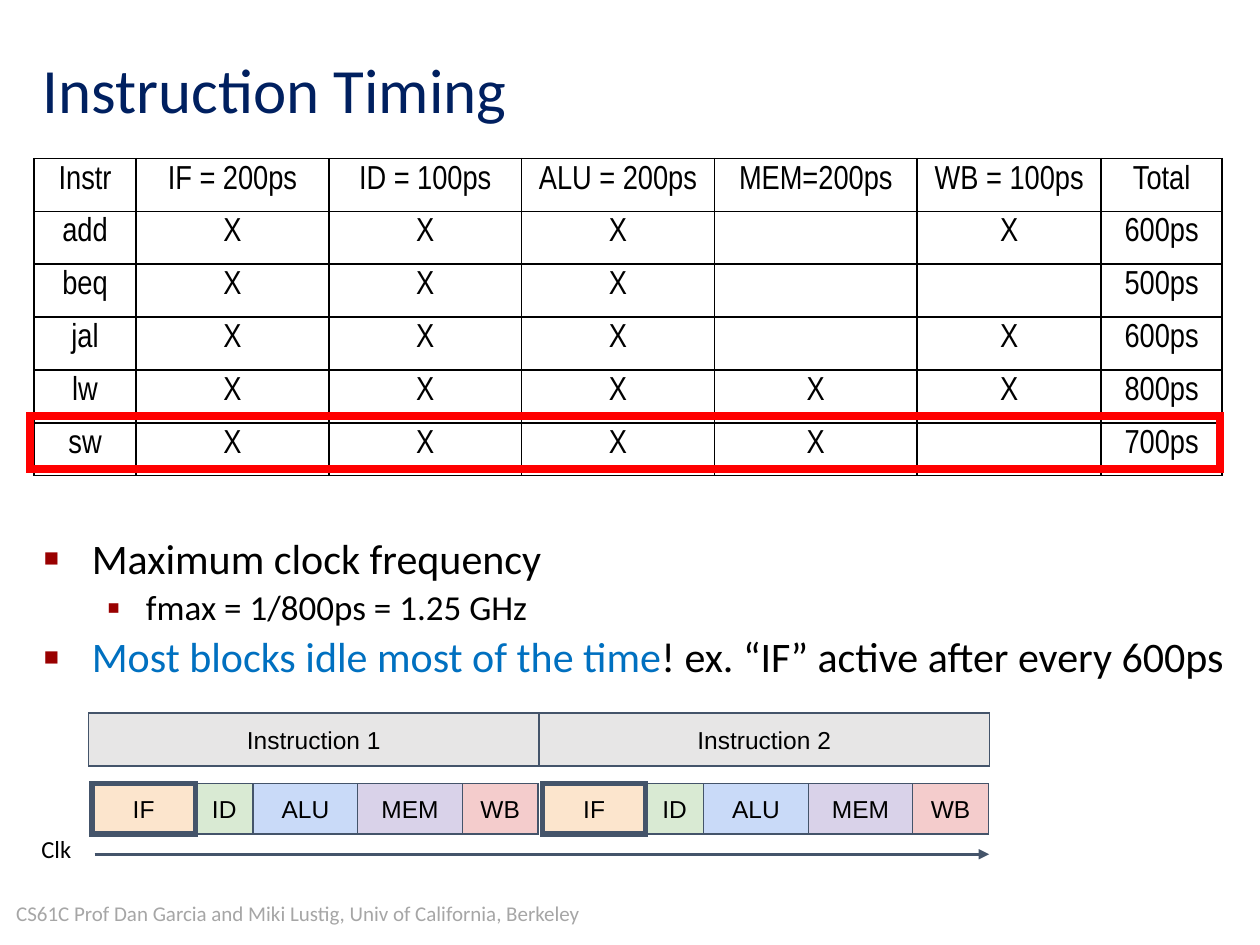
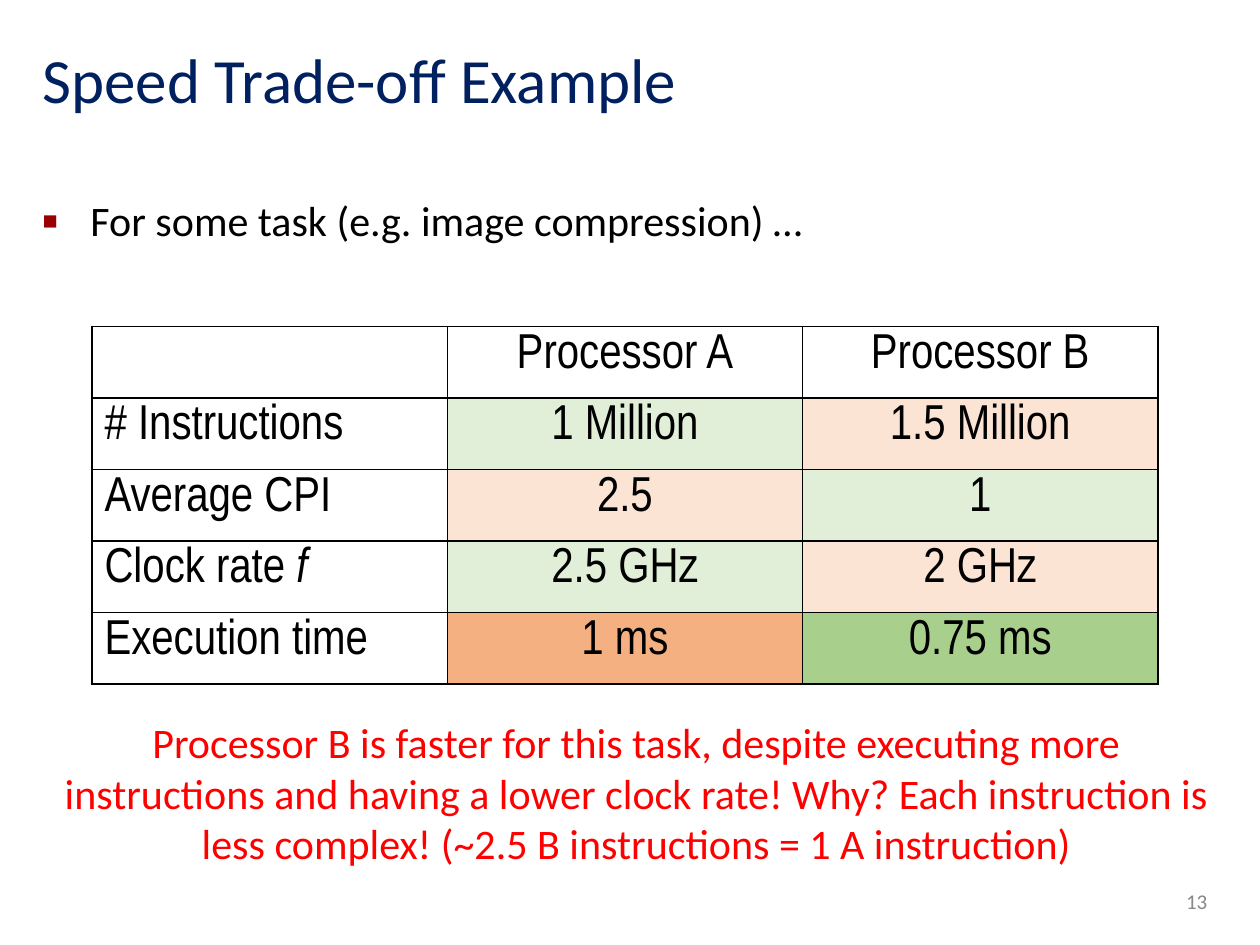
from lxml import etree
from pptx import Presentation
from pptx.dml.color import RGBColor
from pptx.enum.shapes import MSO_CONNECTOR, MSO_SHAPE
from pptx.enum.text import MSO_ANCHOR, PP_ALIGN
from pptx.oxml.ns import qn
from pptx.util import Inches, Pt

RECTANGLE = MSO_SHAPE.RECTANGLE
STRAIGHT = MSO_CONNECTOR.STRAIGHT
TOP, MIDDLE = MSO_ANCHOR.TOP, MSO_ANCHOR.MIDDLE
LEFT, CENTER, RIGHT = PP_ALIGN.LEFT, PP_ALIGN.CENTER, PP_ALIGN.RIGHT

# The slide is a grid of 100 columns by 75 rows
COLUMNS, ROWS = 100, 75
CELL = Inches(0.1)
MARGIN = 2.4
CONTENT_WIDTH = 94.4

BODY_FONT, TABLE_FONT, DIAGRAM_FONT = "Calibri", "Arial Narrow", "Arial"
BLACK, NAVY, RED, BLUE = "000000", "002060", "FF0000", "0070C0"
SLATE, GRAY, BULLET_RED = "44546A", "E7E6E6", "990000"
FOOTER_GRAY, NUMBER_GRAY = "A6A6A6", "888888"
PALE_GREEN, PALE_ORANGE = "E1EFD8", "FBE4D4"
GREEN, ORANGE = "A8D08C", "F4B081"

# Bullet levels: symbol, size in percent, indent, hanging, font size
BULLETS = [("■", 60, 3.8, 3.8, 24), ("▪", 110, 8.1, 3.1, 20)]

# Pipeline stages: name, width, fill, outline
STAGES = [
    ("IF", 8.2, "FCE5CD", 3),
    ("ID", 4.6, "D9EAD3", 0.75),
    ("ALU", 8.3, "C9DAF8", 0.75),
    ("MEM", 8.3, "D9D2E9", 0.75),
    ("WB", 6, "F4CCCC", 0.75),
]
INSTRUCTION_WIDTH = 35.75

TIMING_WIDTHS = [8.1, 15.3, 15.3, 15.3, 16.1, 14.6, 9.6]
TIMING = [
    ["Instr", "IF = 200ps", "ID = 100ps", "ALU = 200ps", "MEM=200ps",
     "WB = 100ps", "Total"],
    ["add", "X", "X", "X", "", "X", "600ps"],
    ["beq", "X", "X", "X", "", "", "500ps"],
    ["jal", "X", "X", "X", "", "X", "600ps"],
    ["lw", "X", "X", "X", "X", "X", "800ps"],
    ["sw", "X", "X", "X", "X", "", "700ps"],
]
PROCESSORS = [
    ["", "Processor A", "Processor B"],
    ["# Instructions", "1 Million", "1.5 Million"],
    ["Average CPI", "2.5", "1"],
    ["Clock rate ", "2.5 GHz", "2 GHz"],
    ["Execution time", "1 ms", "0.75 ms"],
]
PROCESSOR_FILLS = [
    (None, None),
    (PALE_GREEN, PALE_ORANGE),
    (PALE_ORANGE, PALE_GREEN),
    (PALE_GREEN, PALE_ORANGE),
    (ORANGE, GREEN),
]


def color(hex_string):
    return RGBColor.from_string(hex_string)


def grid(*cells):
    return [round(cell * CELL) for cell in cells]


def style_runs(paragraph, size, font=BODY_FONT, ink=BLACK):
    for run in paragraph.runs:
        run.font.size, run.font.name = Pt(size), font
        run.font.bold = False
        run.font.color.rgb = color(ink)


def add_text(slide, box, text, size, ink=BLACK, align=LEFT, anchor=TOP,
             spacing=1.0, wrap=True):
    frame = slide.shapes.add_textbox(*grid(*box)).text_frame
    frame.word_wrap, frame.vertical_anchor = wrap, anchor
    frame.text = text
    paragraph = frame.paragraphs[0]
    paragraph.alignment, paragraph.line_spacing = align, spacing
    style_runs(paragraph, size, ink=ink)


def add_title(slide, text, height):
    add_text(slide, (MARGIN, 1.6, CONTENT_WIDTH, height), text, 36, NAVY,
             anchor=MIDDLE, spacing=0.9)


def set_bullet(paragraph, level):
    symbol, percent, indent, hanging, _ = BULLETS[level]
    properties = paragraph._p.get_or_add_pPr()
    left, first = grid(indent, -hanging)
    properties.set("marL", str(left))
    properties.set("indent", str(first))
    bullet_color = etree.SubElement(properties, qn("a:buClr"))
    etree.SubElement(bullet_color, qn("a:srgbClr"), val=BULLET_RED)
    etree.SubElement(properties, qn("a:buSzPct"), val=str(percent * 1000))
    etree.SubElement(properties, qn("a:buFont"), typeface=DIAGRAM_FONT)
    etree.SubElement(properties, qn("a:buChar"), char=symbol)


def add_bullets(slide, box, items):
    """Each item is a level and a list of (text, colour) parts."""
    frame = slide.shapes.add_textbox(*grid(*box)).text_frame
    frame.word_wrap = True
    for index, (level, parts) in enumerate(items):
        paragraph = frame.add_paragraph() if index else frame.paragraphs[0]
        size = BULLETS[level][-1]
        set_bullet(paragraph, level)
        paragraph.level = level
        paragraph.line_spacing = 0.9
        paragraph.space_before = Pt(0.2 * size if index else 0)
        for text, ink in parts:
            run = paragraph.add_run()
            run.text = text
        style_runs(paragraph, size)
        for run, (text, ink) in zip(paragraph.runs, parts):
            run.font.color.rgb = color(ink)


def set_borders(cell):
    properties = cell._tc.get_or_add_tcPr()
    for side in ("lnL", "lnR", "lnT", "lnB"):
        line = etree.SubElement(properties, qn("a:" + side), w=str(Pt(1)))
        fill = etree.SubElement(line, qn("a:solidFill"))
        etree.SubElement(fill, qn("a:srgbClr"), val=BLACK)


def fill_cell(cell, text, size, align, fill=None):
    set_borders(cell)
    if fill:
        cell.fill.solid()
        cell.fill.fore_color.rgb = color(fill)
    else:
        cell.fill.background()
    # Equal insets hold the text clear of the row lines
    cell.margin_top = cell.margin_bottom = Inches(0.05)
    cell.text_frame.text = text
    paragraph = cell.text_frame.paragraphs[0]
    paragraph.alignment = align
    style_runs(paragraph, size, TABLE_FONT)


def add_grid_table(slide, left, top, widths, heights, values, size,
                   first_align=CENTER, fills=None):
    box = grid(left, top, sum(widths), sum(heights))
    table = slide.shapes.add_table(len(heights), len(widths), *box).table
    table.first_row = table.horz_banding = False
    for column, width in zip(table.columns, grid(*widths)):
        column.width = width
    for row, height in zip(table.rows, grid(*heights)):
        row.height = height
    for r, row_values in enumerate(values):
        for c, text in enumerate(row_values):
            fill = fills[r][c - 1] if fills and c else None
            align = CENTER if c else first_align
            fill_cell(table.cell(r, c), text, size, align, fill)
    return table


def add_block(slide, box, outline, width, fill=None, text=""):
    shape = slide.shapes.add_shape(RECTANGLE, *grid(*box))
    shape.shadow.inherit = False
    shape.line.color.rgb, shape.line.width = color(outline), Pt(width)
    # Square corners on the outline
    line = shape.line._get_or_add_ln()
    etree.SubElement(line, qn("a:miter"), lim="800000")
    if fill:
        shape.fill.solid()
        shape.fill.fore_color.rgb = color(fill)
    else:
        shape.fill.background()
    if text:
        frame = shape.text_frame
        frame.margin_left = frame.margin_right = 0
        frame.vertical_anchor = MIDDLE
        frame.text = text
        frame.paragraphs[0].alignment = CENTER
        style_runs(frame.paragraphs[0], 14, DIAGRAM_FONT)


def add_arrow(slide, start, end):
    connector = slide.shapes.add_connector(STRAIGHT, *grid(*start, *end))
    connector.line.color.rgb, connector.line.width = color(SLATE), Pt(1.5)
    line = connector.line._get_or_add_ln()
    etree.SubElement(line, qn("a:tailEnd"), type="triangle")
    etree.SubElement(connector._element.spPr, qn("a:effectLst"))


def add_instruction(slide, number):
    offset = (number - 1) * INSTRUCTION_WIDTH
    add_block(slide, (7.03 + offset, 56.6, INSTRUCTION_WIDTH, 4.2), SLATE,
              0.75, GRAY, f"Instruction {number}")
    # Stages go right to left so that the thick IF outline stays in front
    right = 7.3 + offset + sum(stage[1] for stage in STAGES)
    for name, width, fill, outline in reversed(STAGES):
        right -= width
        add_block(slide, (right, 62.2, width, 4), SLATE, outline, fill, name)


def build_timing(slide):
    add_title(slide, "Instruction Timing", 11.5)
    add_bullets(slide, (2.5, 42.2, 97.5, 13), [
        (0, [("Maximum clock frequency", BLACK)]),
        (1, [("fmax = 1/800ps = 1.25 GHz", BLACK)]),
        (0, [("Most blocks idle most of the time", BLUE),
             ("! ex. “IF” active after every 600ps", BLACK)]),
    ])
    add_grid_table(slide, 2.7, 12.6, TIMING_WIDTHS, [3.5] + [4.2] * 5,
                   TIMING, 19)
    add_block(slide, (MARGIN, 33, CONTENT_WIDTH, 4.2), RED, 4.5)

    # Two instructions on the clock axis
    for number in (1, 2):
        add_instruction(slide, number)
    add_arrow(slide, (7.5, 67.8), (78.5, 67.8))
    add_text(slide, (2.3, 65.7, 4.6, 2.6), "Clk", 14, wrap=False)
    add_text(slide, (0.3, 70.5, 57.4, 3.9),
             "CS61C Prof Dan Garcia and Miki Lustig, Univ of California, "
             "Berkeley", 12, FOOTER_GRAY, anchor=MIDDLE)


def build_trade_off(slide):
    add_title(slide, "Speed Trade-off Example", 10)
    add_bullets(slide, (MARGIN, 15.4, CONTENT_WIDTH, 10.7), [
        (0, [("For some task (e.g. image compression) …", BLACK)]),
    ])
    add_text(slide, (74.3, 69.5, 22.5, 4), "13", 12, NUMBER_GRAY, RIGHT,
             MIDDLE)
    table = add_grid_table(slide, 7.3, 25.9, [28.2] * 3, [5.68] * 5,
                           PROCESSORS, 28, LEFT, PROCESSOR_FILLS)
    # The symbol for the clock rate is italic
    paragraph = table.cell(3, 0).text_frame.paragraphs[0]
    symbol = paragraph.add_run()
    symbol.text = "f"
    style_runs(paragraph, 28, TABLE_FONT)
    symbol.font.italic = True
    add_text(slide, (3.3, 56.4, CONTENT_WIDTH, 12.1),
             "Processor B is faster for this task, despite executing more "
             "instructions and having a lower clock rate! Why? Each "
             "instruction is less complex! (~2.5 B instructions = "
             "1 A instruction)", 24, RED, CENTER)


def main():
    presentation = Presentation()
    presentation.slide_width, presentation.slide_height = grid(COLUMNS, ROWS)
    blank = presentation.slide_layouts[6]
    for build in (build_timing, build_trade_off):
        build(presentation.slides.add_slide(blank))
    presentation.save("out.pptx")


if __name__ == "__main__":
    main()
